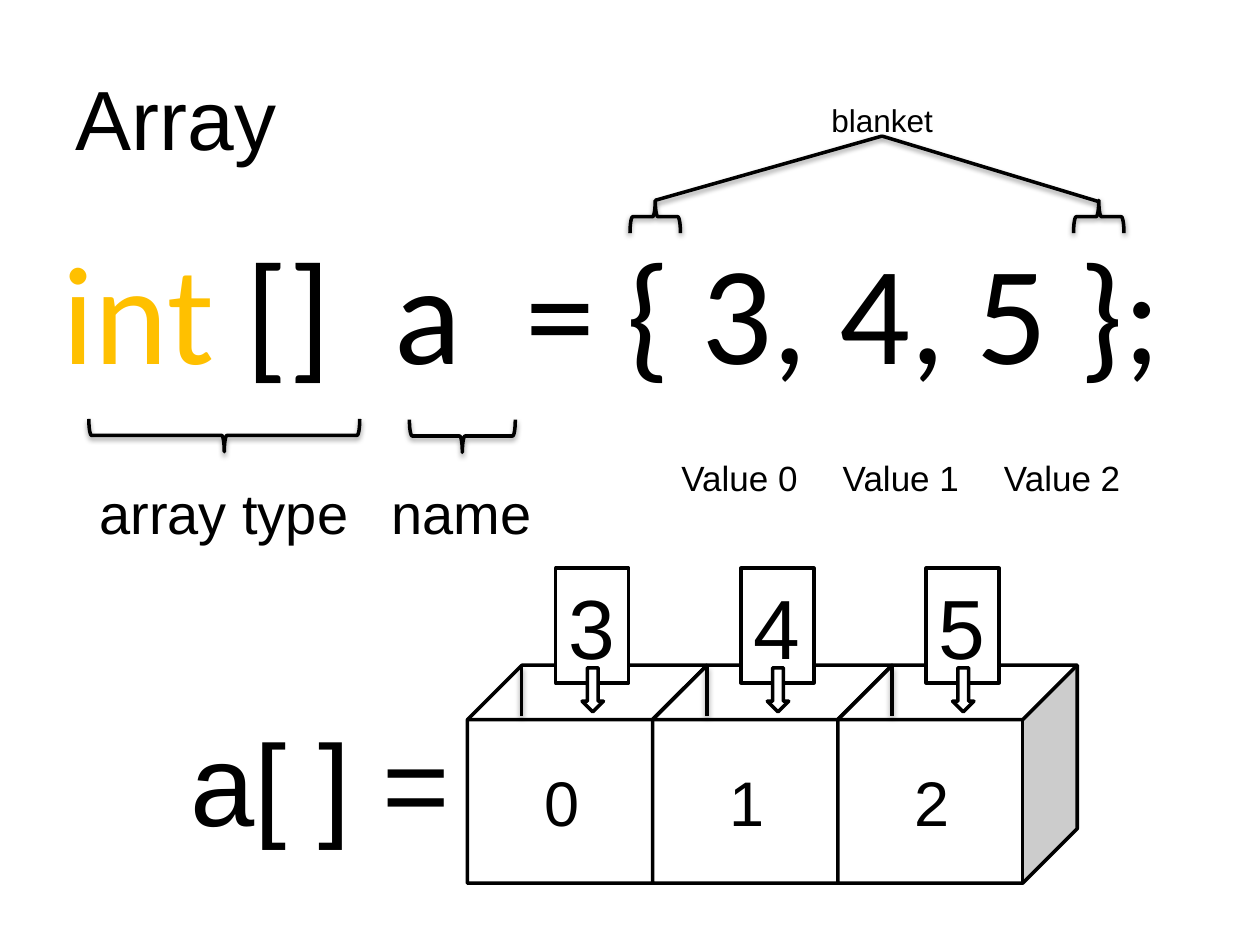
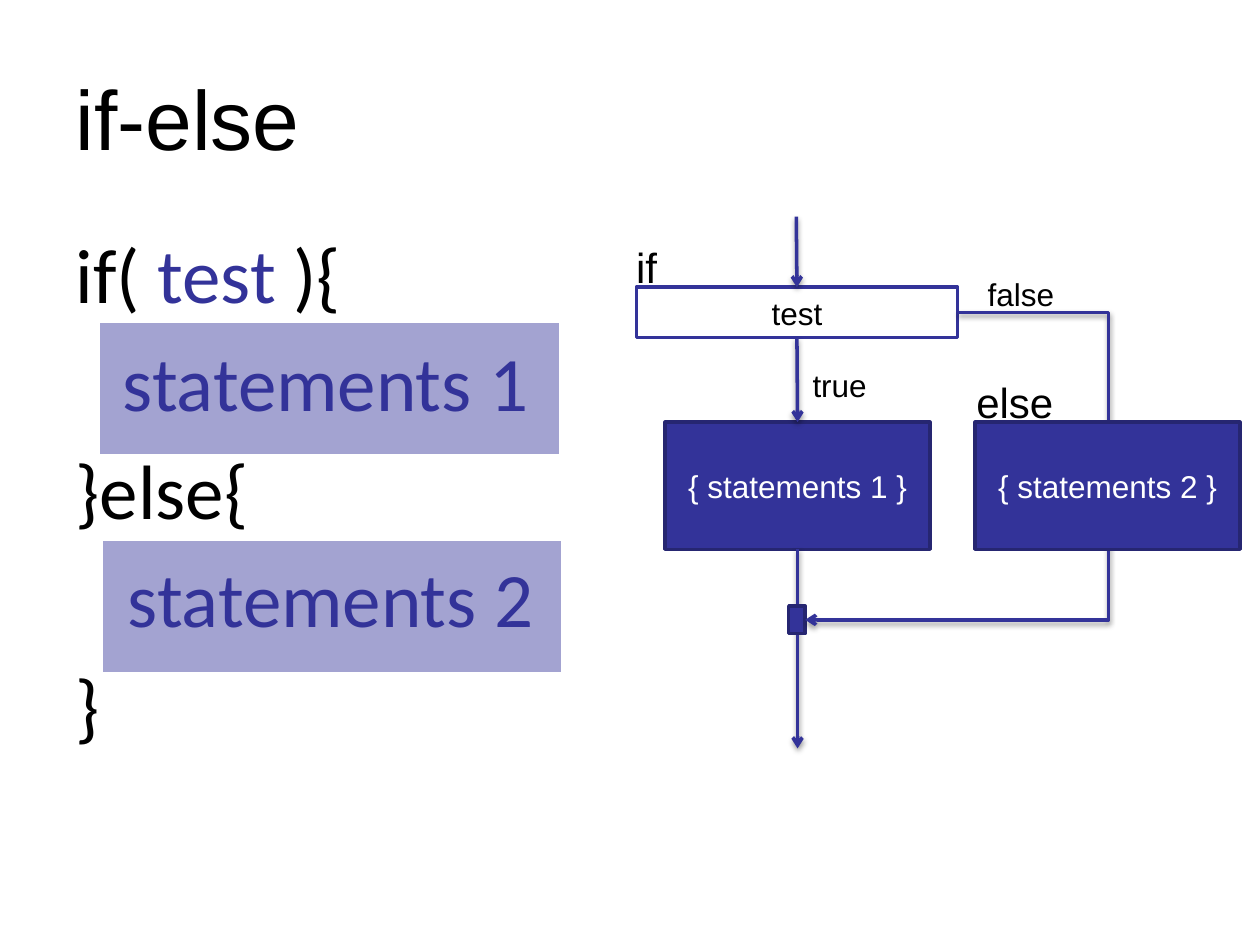
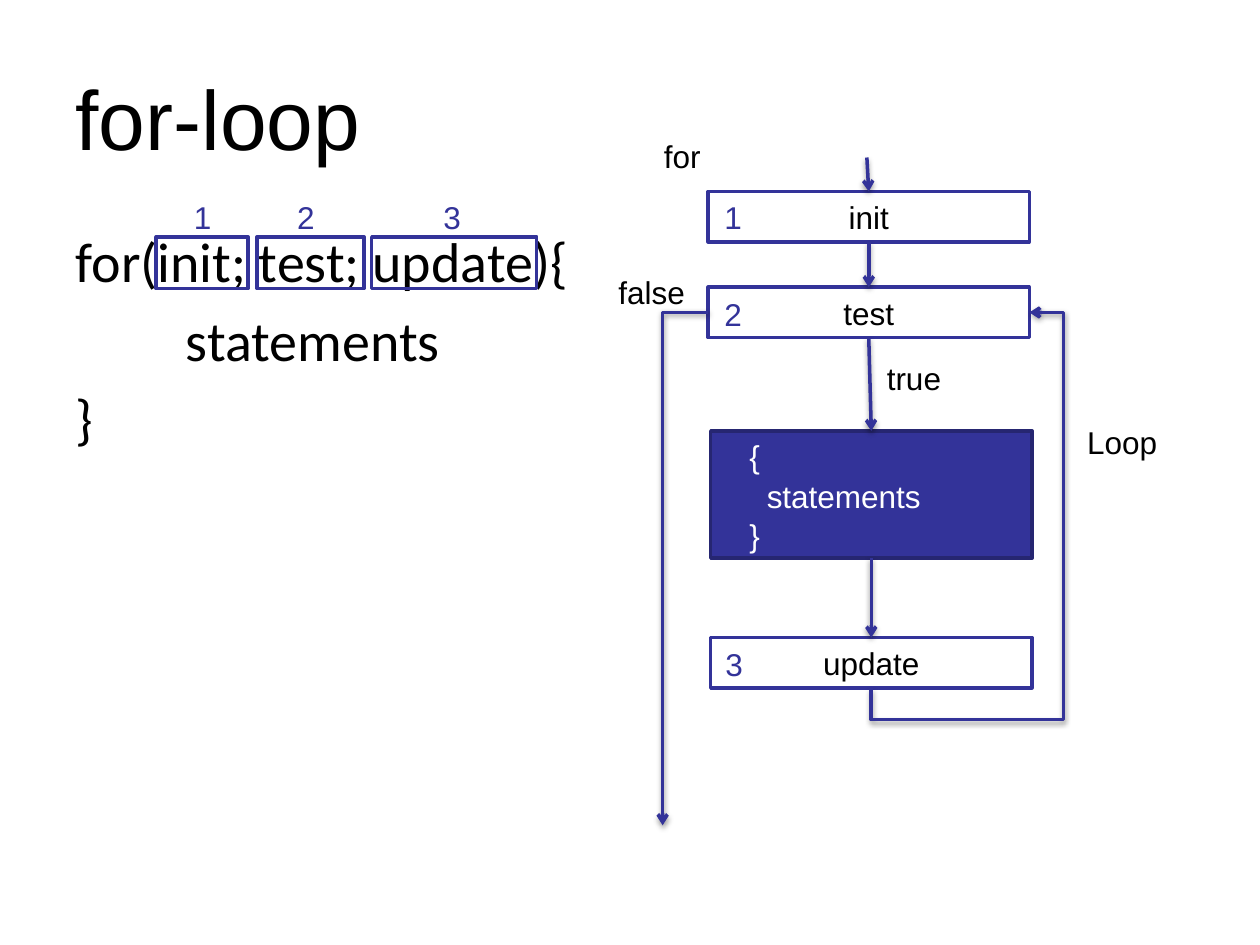
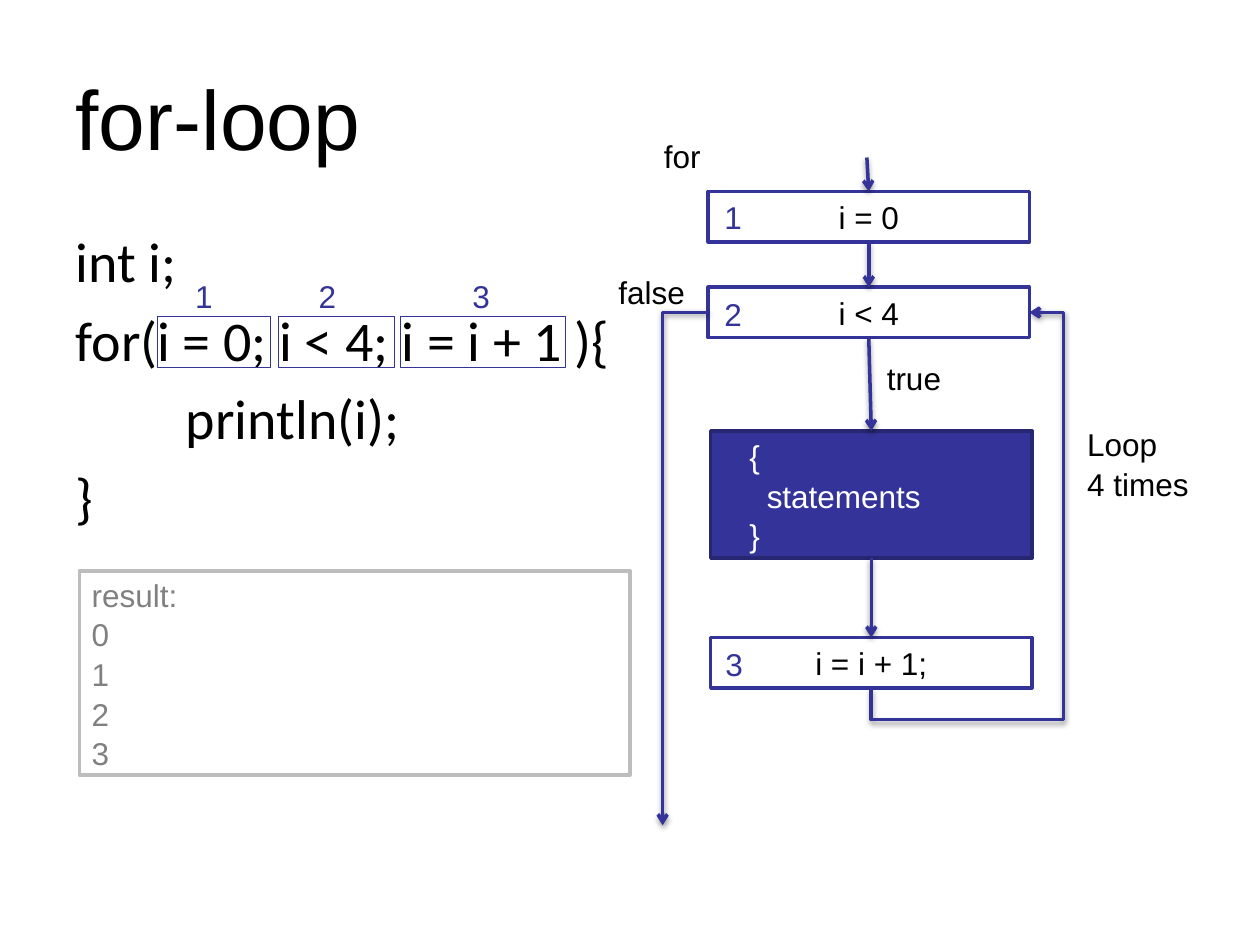
from dataclasses import dataclass

from lxml.etree import SubElement
from pptx import Presentation
from pptx.dml.color import RGBColor
from pptx.enum.shapes import MSO_CONNECTOR as Link, MSO_SHAPE as Preset
from pptx.enum.text import MSO_ANCHOR as Anchor, MSO_AUTO_SIZE as AutoSize, PP_ALIGN as Align
from pptx.oxml.ns import qn
from pptx.util import Inches, Pt


@dataclass(frozen=True)
class Theme:
    black: str = "000000"
    white: str = "FFFFFF"
    blue: str = "333399"
    navy: str = "262671"
    amber: str = "FFC000"
    gray: str = "808080"
    silver: str = "BDBDBD"
    heading_font: str = "Arial"
    code_font: str = "Calibri"
    title: int = 48
    index: int = 36
    caption: int = 32
    keyword: int = 24
    value: int = 20
    label: int = 18
    stroke: float = 2


theme = Theme()
TOP, LEFT, BOTTOM, RIGHT = range(4)  # connection sites of a rectangle
TITLE_BOX = (0.5, 0.3, 9, 1.25)
CODE_BOX = (0.5, 1.75, 9, 4.95)

# Content: array slide
ARRAY_CODE = [[("int ", theme.amber), ("[]  a  = { 3, 4, 5 };", theme.black)]]
ARRAY_VALUES = ["3", "4", "5"]
SLOT_PITCH, VALUE_PITCH = 1.47, 1.28
BRACES = [  # box before turning, rotation
    ((1.65, 2.38, 0.26, 2.15), 270),
    ((3.54, 3.04, 0.26, 0.84), 270),
    ((5.07, 1.52, 0.26, 0.4), 90),
    ((8.59, 1.52, 0.26, 0.4), 90),
]
ARRAY_LABELS = [
    ("array type", (0.69, 3.75, 2.19, 0.64), theme.caption),
    ("name", (3.01, 3.75, 1.32, 0.64), theme.caption),
    ("a[ ] =", (1.41, 5.59, 2.29, 1.21), 66),
    ("blanket", (6.5, 0.75, 1.02, 0.4), theme.label),
]
BLANKET_TIP = (7.0, 1.08)
BLANKET_ENDS = [(5.2, 1.59), (8.72, 1.6)]

# Content: if-else slide
IF_CODE = [
    [("if( ", theme.black), ("test", theme.blue), (" ){", theme.black)],
    [("\tstatements 1", theme.blue)],
    "}else{",
    [("   statements 2", theme.blue)],
    "}",
]
IF_LABELS = [
    ("if", (4.95, 1.87, 0.37, 0.5), theme.keyword),
    ("else", (7.65, 2.94, 0.82, 0.5), theme.keyword),
    ("true", (6.35, 2.86, 0.89, 0.56), theme.label),
    ("false", (7.74, 2.13, 1.03, 0.56), theme.label),
]
STATEMENT_BANDS = [(0.78, 2.55, 3.67, 1.07), (0.8, 4.28, 3.67, 1.07)]

# Content: the two for-loop slides
LOOP_BLOCK = ["   {", "     statements", "   }"]
LOOP_LABELS = [
    ("for", (5.17, 1.04, 0.5, 0.4)),
    ("true", (6.94, 2.8, 0.64, 0.4)),
    ("false", (4.81, 2.12, 0.73, 0.4)),
]
STEP_NUMBERS = [(5.65, 1.52), (5.65, 2.29), (5.66, 5.07)]
LOOPS = [
    {
        "code": ["for(init; test; update){", "\t\tstatements", "}"],
        "steps": ["init", "test", "update"],
        "caption": ["Loop"],
        "frames": [(1.24, 0.73), (2.04, 0.85), (2.95, 1.31)],
        "frame_top": 1.88,
        "frame_stroke": theme.stroke,
        "numbers": [1.44, 2.26, 3.42],
        "result": None,
    },
    {
        "code": ["int i;", "for(i = 0; i < 4; i = i + 1 ){", "\t\tprintln(i);", "}"],
        "steps": ["i = 0", "i < 4", "i = i + 1;"],
        "caption": ["Loop", "4 times"],
        "frames": [(1.25, 0.9), (2.21, 0.92), (3.18, 1.31)],
        "frame_top": 2.51,
        "frame_stroke": 0.75,
        "numbers": [1.45, 2.43, 3.65],
        "result": ["result:", "0", "1", "2", "3"],
    },
]


# Shared helpers
def rgb(color):
    return RGBColor.from_string(color)


def place(shape, box):
    shape.left, shape.top, shape.width, shape.height = map(Inches, box)


def write(frame, lines, size, color=theme.black, font=theme.heading_font,
          align=Align.LEFT, code=False):
    """Fill a frame; a line is a string or a list of (text, color) runs."""
    for number, line in enumerate(lines):
        paragraph = frame.paragraphs[0] if number == 0 else frame.add_paragraph()
        if code:
            SubElement(paragraph._p.get_or_add_pPr(), qn("a:buNone"))
        elif len(lines) > 1:
            paragraph.line_spacing = 1.05
        if number == 0:
            paragraph.space_before = Pt(0)
        paragraph.alignment = align
        for text, run_color in [(line, color)] if isinstance(line, str) else line:
            run = paragraph.add_run()
            run.text = text
            run.font.size = Pt(size)
            run.font.name = font
            run.font.color.rgb = rgb(run_color)


def add_shadow(shape):
    properties = shape._element.spPr
    effects = properties.find(qn("a:effectLst"))
    if effects is None:
        effects = SubElement(properties, qn("a:effectLst"))
    shadow = SubElement(effects, qn("a:outerShdw"), blurRad=str(Pt(3.1)),
                        dist=str(Pt(1.6)), dir="5400000", rotWithShape="0")
    color = SubElement(shadow, qn("a:srgbClr"), val=theme.black)
    SubElement(color, qn("a:alpha"), val="38000")


def add_slide(presentation, title, code, size, code_box=CODE_BOX, align=Align.LEFT):
    slide = presentation.slides.add_slide(presentation.slide_layouts[1])
    heading, body = slide.placeholders
    for placeholder, box in ((heading, TITLE_BOX), (body, code_box)):
        place(placeholder, box)
        placeholder.text_frame.auto_size = AutoSize.NONE
    heading.text_frame.vertical_anchor = Anchor.MIDDLE
    write(heading.text_frame, [title], theme.title)
    write(body.text_frame, code, size, font=theme.code_font, align=align, code=True)
    return slide


def add_label(slide, lines, box, size=theme.label, color=theme.black):
    label = slide.shapes.add_textbox(*map(Inches, box))
    label.text_frame.word_wrap = False
    label.text_frame.auto_size = AutoSize.SHAPE_TO_FIT_TEXT
    write(label.text_frame, lines, size, color)


def add_figure(slide, preset, box, fill=None, line=theme.black, stroke=theme.stroke):
    shape = slide.shapes.add_shape(preset, *map(Inches, box))
    shape.shadow.inherit = False
    if fill:
        shape.fill.solid()
        shape.fill.fore_color.rgb = rgb(fill)
    else:
        shape.fill.background()
    shape.line.color.rgb = rgb(line)
    shape.line.width = Pt(stroke)
    return shape


def add_step(slide, lines, box, align=Align.CENTER):
    """White flowchart step."""
    step = add_figure(slide, Preset.RECTANGLE, box, theme.white, theme.blue)
    write(step.text_frame, lines, theme.label, align=align)
    return step


def add_block(slide, lines, box, align=Align.CENTER):
    """Dark flowchart block."""
    block = add_figure(slide, Preset.RECTANGLE, box, theme.blue, theme.navy)
    write(block.text_frame, lines, theme.label, theme.white, align=align)
    return block


def add_line(slide, start, end, color=theme.black, arrow=None, bend=None, adjust=()):
    """Join two ends, each a point in inches or a (shape, site) pair."""
    kind = Link.ELBOW if bend else Link.STRAIGHT
    line = slide.shapes.add_connector(kind, 0, 0, 0, 0)
    if isinstance(start[0], (int, float)):
        line.begin_x, line.begin_y = map(Inches, start)
    else:
        line.begin_connect(*start)
    if isinstance(end[0], (int, float)):
        line.end_x, line.end_y = map(Inches, end)
    else:
        line.end_connect(*end)
    line.line.color.rgb = rgb(color)
    line.line.width = Pt(theme.stroke)
    if arrow:
        SubElement(line.line._get_or_add_ln(), qn(f"a:{arrow}"), type="arrow")
    if bend:
        geometry = line._element.spPr.find(qn("a:prstGeom"))
        geometry.set("prst", bend)
        guides = geometry.find(qn("a:avLst"))
        for number, value in enumerate(adjust, 1):
            SubElement(guides, qn("a:gd"), name=f"adj{number}", fmla=f"val {value}")
    add_shadow(line)


def add_flow(slide, start, end, arrow="tailEnd", **bending):
    add_line(slide, start, end, theme.blue, arrow, **bending)


# Slides
def build_array(presentation):
    slide = add_slide(presentation, "Array", ARRAY_CODE, 80,
                      (0.36, 1.73, 9, 4.95), Align.CENTER)
    for box, rotation in BRACES:
        brace = add_figure(slide, Preset.LEFT_BRACE, box)
        brace.rotation = rotation
        add_shadow(brace)
    for text, box, size in ARRAY_LABELS:
        add_label(slide, [text], box, size)
    for end in BLANKET_ENDS:
        add_line(slide, end, BLANKET_TIP)

    # One cube, value card and arrow for each element
    for index, value in enumerate(ARRAY_VALUES):
        shift = index * SLOT_PITCH
        add_figure(slide, Preset.CUBE, (3.71 + shift, 5.28, 1.9, 1.73), theme.white)
        add_line(slide, (4.14 + shift, 5.29), (4.14 + shift, 5.68))
        add_label(slide, [str(index)], (4.22 + shift, 6.01, 0.48, 0.71), theme.index)
        card = add_figure(slide, Preset.RECTANGLE, (4.41 + shift, 4.51, 0.58, 0.91), theme.white)
        write(card.text_frame, [value], theme.title)
        add_figure(slide, Preset.DOWN_ARROW, (4.62 + shift, 5.3, 0.17, 0.35), theme.white)
        add_label(slide, [f"Value {index}"],
                  (5.31 + index * VALUE_PITCH, 3.57, 1.13, 0.44), theme.value)


def build_if_else(presentation):
    slide = add_slide(presentation, "if-else", IF_CODE, 44)
    test = add_step(slide, ["test"], (5.05, 2.28, 2.55, 0.4))
    first = add_block(slide, ["{ statements 1 }"], (5.28, 3.35, 2.1, 1.01))
    add_flow(slide, (6.32, 1.72), (test, TOP))
    add_flow(slide, (test, BOTTOM), (first, TOP))
    add_flow(slide, (first, BOTTOM), (6.33, 5.94))
    joint = add_figure(slide, Preset.RECTANGLE, (6.26, 4.81, 0.13, 0.22), theme.blue, theme.navy)
    add_flow(slide, (test, RIGHT), (joint, RIGHT), bend="bentConnector3", adjust=[-99000])
    add_block(slide, ["{ statements 2 }"], (7.74, 3.35, 2.1, 1.01))
    for text, box, size in IF_LABELS:
        add_label(slide, [text], box, size)

    # Translucent bands over the code
    for box in STATEMENT_BANDS:
        band = add_figure(slide, Preset.RECTANGLE, box, theme.blue, theme.white)
        color = band._element.spPr.find(qn("a:solidFill"))[0]
        SubElement(color, qn("a:alpha"), val="45000")


def build_for_loop(presentation, loop):
    slide = add_slide(presentation, "for-loop", loop["code"], theme.caption)

    # Flowchart
    boxes = [(5.62, 1.52, 2.55, 0.4), (5.62, 2.28, 2.55, 0.4), (5.64, 5.06, 2.55, 0.4)]
    init, test, update = [add_step(slide, [text], box)
                          for text, box in zip(loop["steps"], boxes)]
    block = add_block(slide, LOOP_BLOCK, (5.64, 3.42, 2.55, 1.01), Align.LEFT)
    add_flow(slide, (6.88, 1.25), (init, TOP))
    chain = [init, test, block, update]
    for upper, lower in zip(chain, chain[1:]):
        add_flow(slide, (upper, BOTTOM), (lower, TOP))
    add_flow(slide, (test, LEFT), (5.26, 6.55), bend="bentConnector2")
    add_flow(slide, (test, RIGHT), (update, BOTTOM), "headEnd",
             bend="bentConnector4", adjust=[-21600, 108400])
    for text, box in LOOP_LABELS:
        add_label(slide, [text], box)
    add_label(slide, loop["caption"], (8.53, 3.31, 1.02, 0.1 + 0.3 * len(loop["caption"])))

    # Frames around the three parts of the loop header
    for left, width in loop["frames"]:
        add_figure(slide, Preset.RECTANGLE, (left, loop["frame_top"], width, 0.41),
                   line=theme.blue, stroke=loop["frame_stroke"])
    header_numbers = [(left, loop["frame_top"] - 0.36) for left in loop["numbers"]]
    for corners in (header_numbers, STEP_NUMBERS):
        for number, corner in enumerate(corners, 1):
            add_label(slide, [str(number)], (*corner, 0.34, 0.4), color=theme.blue)

    if loop["result"]:
        result = add_figure(slide, Preset.RECTANGLE, (0.63, 4.53, 4.37, 1.62),
                            theme.white, theme.silver)
        write(result.text_frame, loop["result"], theme.label, theme.gray)


def main():
    presentation = Presentation()
    presentation.slide_width, presentation.slide_height = Inches(10), Inches(7.5)
    build_array(presentation)
    build_if_else(presentation)
    for loop in LOOPS:
        build_for_loop(presentation, loop)
    presentation.save("out.pptx")


if __name__ == "__main__":
    main()
